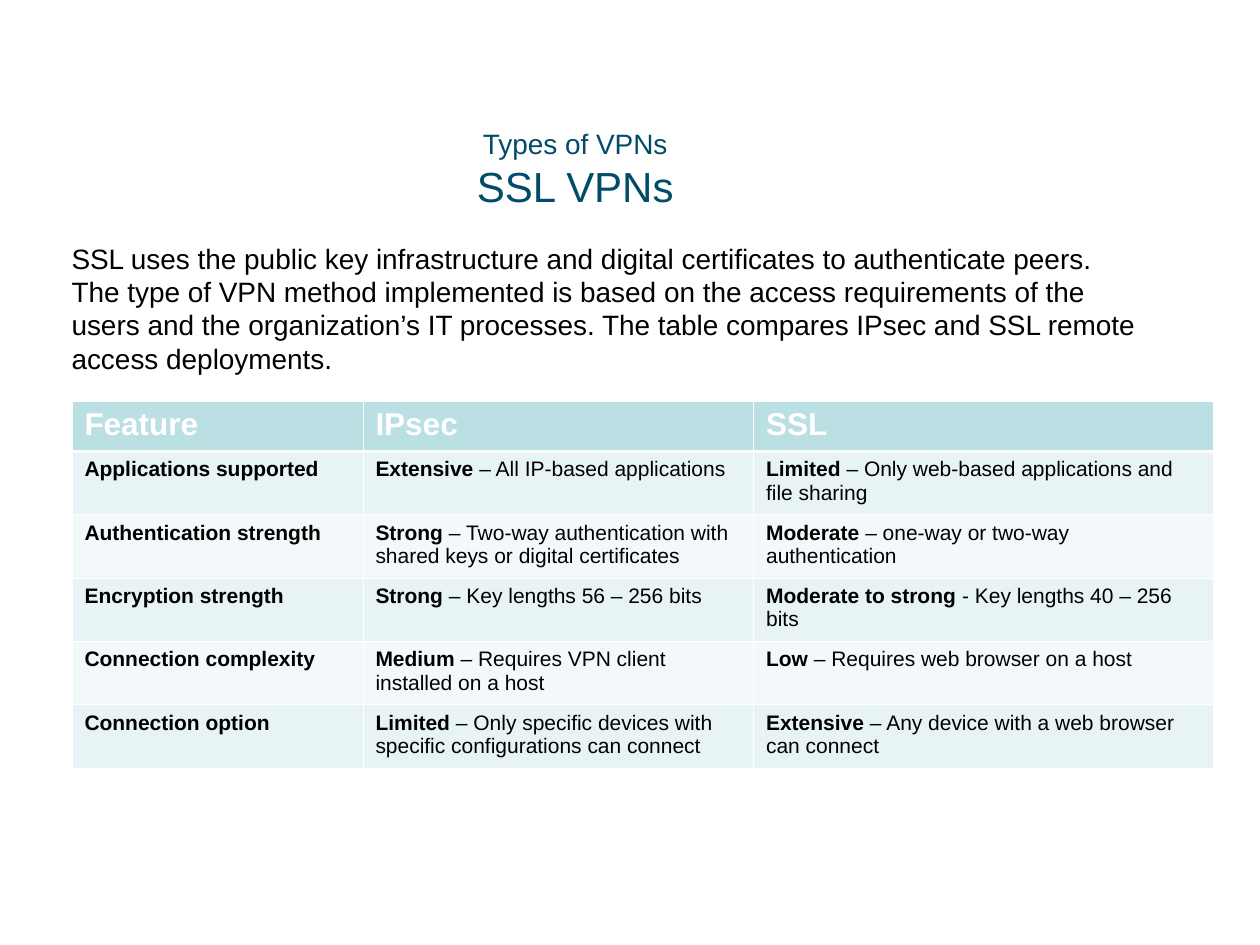
from typing import NamedTuple

from lxml import etree
from pptx import Presentation
from pptx.dml.color import RGBColor
from pptx.enum import text
from pptx.oxml import ns
from pptx.util import Pt

FONT = "Arial"
TITLE_BLUE = RGBColor(0x00, 0x4C, 0x69)
BLACK = RGBColor(0x00, 0x00, 0x00)
WHITE = RGBColor(0xFF, 0xFF, 0xFF)
HEADER_FILL = RGBColor(0xBB, 0xE0, 0xE3)
BAND_FILLS = (RGBColor(0xE7, 0xF3, 0xF4), RGBColor(0xF3, 0xF9, 0xFA))

THIN, THICK = 0.45, 1.5
COLUMN_WIDTHS = (166.3, 223.2, 262.8)
HEADER_HEIGHT, ROW_HEIGHT = 28.8, 36.2


class Entry(NamedTuple):
    """A cell's bold lead and the plain words after it."""
    lead: str
    detail: str = ""


class Comparison(NamedTuple):
    feature: Entry
    ipsec: Entry
    ssl: Entry


HEADER = Comparison(Entry("Feature"), Entry("IPsec"), Entry("SSL"))
COMPARISONS = (
    Comparison(Entry("Applications supported"),
               Entry("Extensive", " – All IP-based applications"),
               Entry("Limited", " – Only web-based applications and file sharing")),
    Comparison(Entry("Authentication strength"),
               Entry("Strong", " – Two-way authentication with shared keys or digital certificates"),
               Entry("Moderate", " – one-way or two-way authentication")),
    Comparison(Entry("Encryption strength"),
               Entry("Strong", " – Key lengths 56 – 256 bits"),
               Entry("Moderate to strong ", "- Key lengths 40 – 256 bits")),
    Comparison(Entry("Connection complexity"),
               Entry("Medium", " – Requires VPN client installed on a host"),
               Entry("Low", " – Requires web browser on a host")),
    Comparison(Entry("Connection option"),
               Entry("Limited", " – Only specific devices with specific configurations can connect"),
               Entry("Extensive", " – Any device with a web browser can connect")),
)
INTRODUCTION = (
    "SSL uses the public key infrastructure and digital certificates to authenticate peers. "
    "The type of VPN method implemented is based on the access requirements of the users and "
    "the organization’s IT processes. The table compares IPsec and SSL remote access deployments."
)


def add_run(paragraph, words: str, size: float, color: RGBColor, bold: bool = False) -> None:
    run = paragraph.add_run()
    run.text = words
    run.font.name = FONT
    run.font.size = Pt(size)
    run.font.bold = bold
    run.font.color.rgb = color


def set_borders(cell, top: float, bottom: float) -> None:
    properties = cell._tc.get_or_add_tcPr()
    sides = (("lnL", THIN), ("lnR", THIN), ("lnT", top), ("lnB", bottom))
    for position, (side, width) in enumerate(sides):
        line = etree.Element(ns.qn(f"a:{side}"), w=str(Pt(width)))
        fill = etree.SubElement(line, ns.qn("a:solidFill"))
        etree.SubElement(fill, ns.qn("a:srgbClr"), val=str(WHITE))
        properties.insert(position, line)


def format_title(title) -> None:
    title.left, title.top, title.width, title.height = Pt(0), Pt(67.7), Pt(657.4), Pt(57.6)
    frame = title.text_frame
    frame.auto_size = text.MSO_AUTO_SIZE.NONE
    frame.vertical_anchor = text.MSO_ANCHOR.MIDDLE
    paragraph = frame.paragraphs[0]
    paragraph.alignment = text.PP_ALIGN.CENTER
    add_run(paragraph, "Types of VPNs", 16, TITLE_BLUE)
    paragraph.add_line_break()
    # The break keeps the small size, so the first line stays low.
    line_break = paragraph._p.find(ns.qn("a:br"))
    etree.SubElement(line_break, ns.qn("a:rPr"), sz="1600")
    add_run(paragraph, "SSL VPNs", 24, TITLE_BLUE)


def add_introduction(slide) -> None:
    frame = slide.shapes.add_textbox(Pt(33.8), Pt(134.6), Pt(622.8), Pt(85)).text_frame
    frame.word_wrap = True
    paragraph = frame.paragraphs[0]
    paragraph.line_spacing = Pt(19)
    add_run(paragraph, INTRODUCTION, 16, BLACK)


def add_comparison_table(slide) -> None:
    rows = (HEADER, *COMPARISONS)
    height = HEADER_HEIGHT + ROW_HEIGHT * len(COMPARISONS)
    table = slide.shapes.add_table(
        len(rows), len(COLUMN_WIDTHS), Pt(41.1), Pt(229.1), Pt(sum(COLUMN_WIDTHS)), Pt(height)
    ).table
    table.horz_banding = False
    for column, width in zip(table.columns, COLUMN_WIDTHS):
        column.width = Pt(width)
    for index, comparison in enumerate(rows):
        is_header = index == 0
        table.rows[index].height = Pt(HEADER_HEIGHT if is_header else ROW_HEIGHT)
        size, color = (18, WHITE) if is_header else (12, BLACK)
        for cell, entry in zip(table.rows[index].cells, comparison):
            cell.fill.solid()
            cell.fill.fore_color.rgb = HEADER_FILL if is_header else BAND_FILLS[(index - 1) % 2]
            set_borders(cell, THICK if index == 1 else THIN, THICK if is_header else THIN)
            paragraph = cell.text_frame.paragraphs[0]
            add_run(paragraph, entry.lead, size, color, bold=True)
            if entry.detail:
                add_run(paragraph, entry.detail, size, color)


def main() -> None:
    presentation = Presentation()
    presentation.slide_width, presentation.slide_height = Pt(720), Pt(540)
    slide = presentation.slides.add_slide(presentation.slide_layouts.get_by_name("Title Only"))
    format_title(slide.shapes.title)
    add_introduction(slide)
    add_comparison_table(slide)
    presentation.save("out.pptx")


if __name__ == "__main__":
    main()
